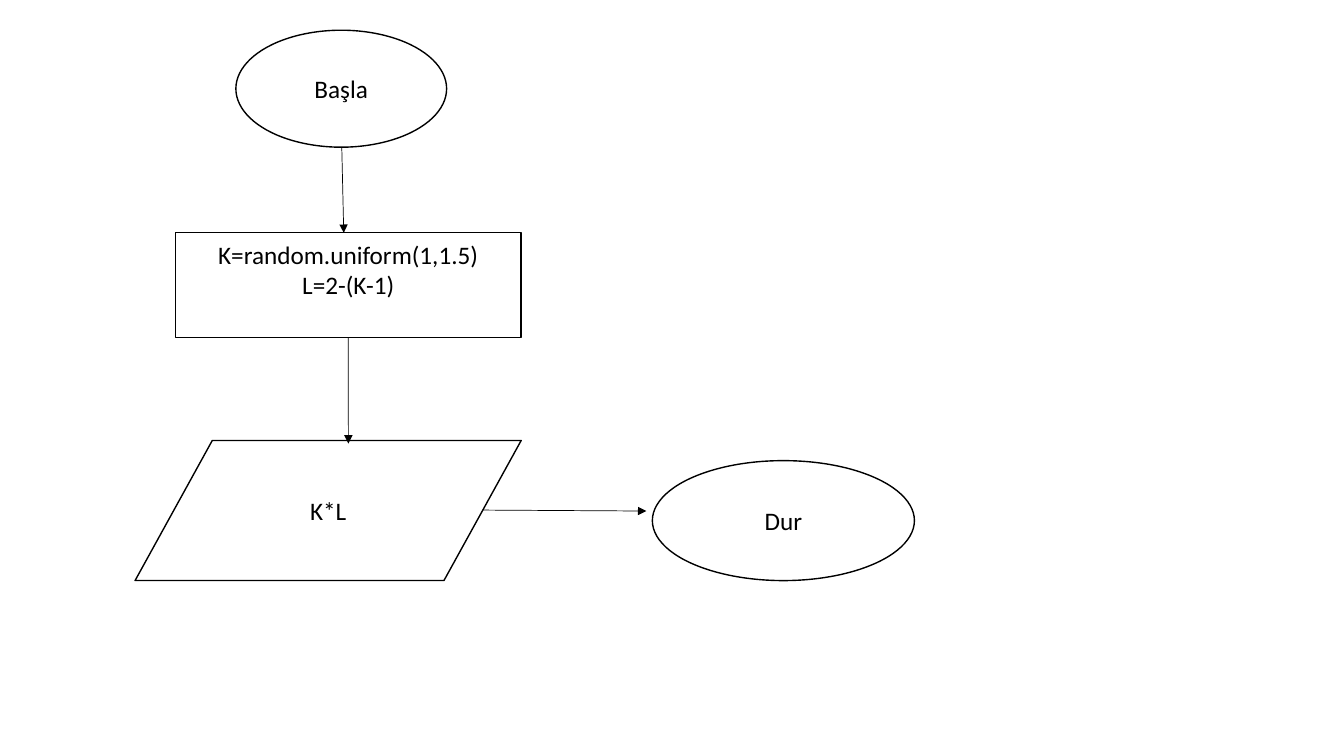
from pptx import Presentation
from pptx import util as u
from pptx.dml.color import RGBColor
from pptx.enum import shapes, text
from pptx.oxml.ns import qn
from lxml import etree

WIDTH, HEIGHT = u.Inches(13.33), u.Inches(7.5)
BLACK, WHITE = "000000", "FFFFFF"


def color(value):
    return RGBColor.from_string(value)


def across(percent):
    return round(WIDTH * percent / 100)


def down(percent):
    return round(HEIGHT * percent / 100)


def add_step(slide, kind, left, top, width, height, label):
    """Add a flowchart step placed in percent of the slide's size."""
    step = slide.shapes.add_shape(
        kind, across(left), down(top), across(width), down(height))
    step.shadow.inherit = False
    step.fill.solid()
    step.fill.fore_color.rgb = color(WHITE)
    step.line.color.rgb = color(BLACK)
    step.line.width = u.Pt(1)
    frame = step.text_frame
    frame.text = label
    frame.vertical_anchor = text.MSO_ANCHOR.MIDDLE
    for para in frame.paragraphs:
        para.alignment = text.PP_ALIGN.CENTER
        for span in para.runs:
            span.font.name = "Calibri"
            span.font.size = u.Pt(18)
            span.font.color.rgb = color(BLACK)
    return step


def add_arrow(slide, start, end):
    arrow = slide.shapes.add_connector(
        shapes.MSO_CONNECTOR.STRAIGHT,
        across(start[0]), down(start[1]), across(end[0]), down(end[1]))
    arrow.line.color.rgb = color(BLACK)
    arrow.line.width = u.Pt(0.5)
    head = etree.SubElement(arrow.line._get_or_add_ln(), qn("a:tailEnd"))
    head.set("type", "triangle")
    etree.SubElement(arrow._element.spPr, qn("a:effectLst"))
    return arrow


def main():
    deck = Presentation()
    deck.slide_width, deck.slide_height = WIDTH, HEIGHT
    slide = deck.slides.add_slide(deck.slide_layouts[6])
    kinds = shapes.MSO_SHAPE

    add_step(slide, kinds.OVAL, 17.55, 4, 15.68, 15.47, "Başla")
    add_arrow(slide, (25.43, 19.47), (25.58, 30.8))
    formula = add_step(slide, kinds.RECTANGLE, 13.05, 30.8, 25.73, 13.87,
                       "K=random.uniform(1,1.5)\nL=2-(K-1)")
    formula.text_frame.vertical_anchor = text.MSO_ANCHOR.TOP
    formula.text_frame.margin_top = down(0.8)
    add_step(slide, kinds.FLOWCHART_DATA, 10.05, 58.27, 28.73, 18.53, "K*L")
    to_output = add_arrow(slide, (25.92, 44.67), (25.92, 58.67))
    to_output.begin_connect(formula, 2)
    add_arrow(slide, (35.93, 67.47), (48.09, 67.6))
    add_step(slide, kinds.OVAL, 48.54, 60.93, 19.5, 15.87, "Dur")

    deck.save("out.pptx")


if __name__ == "__main__":
    main()
